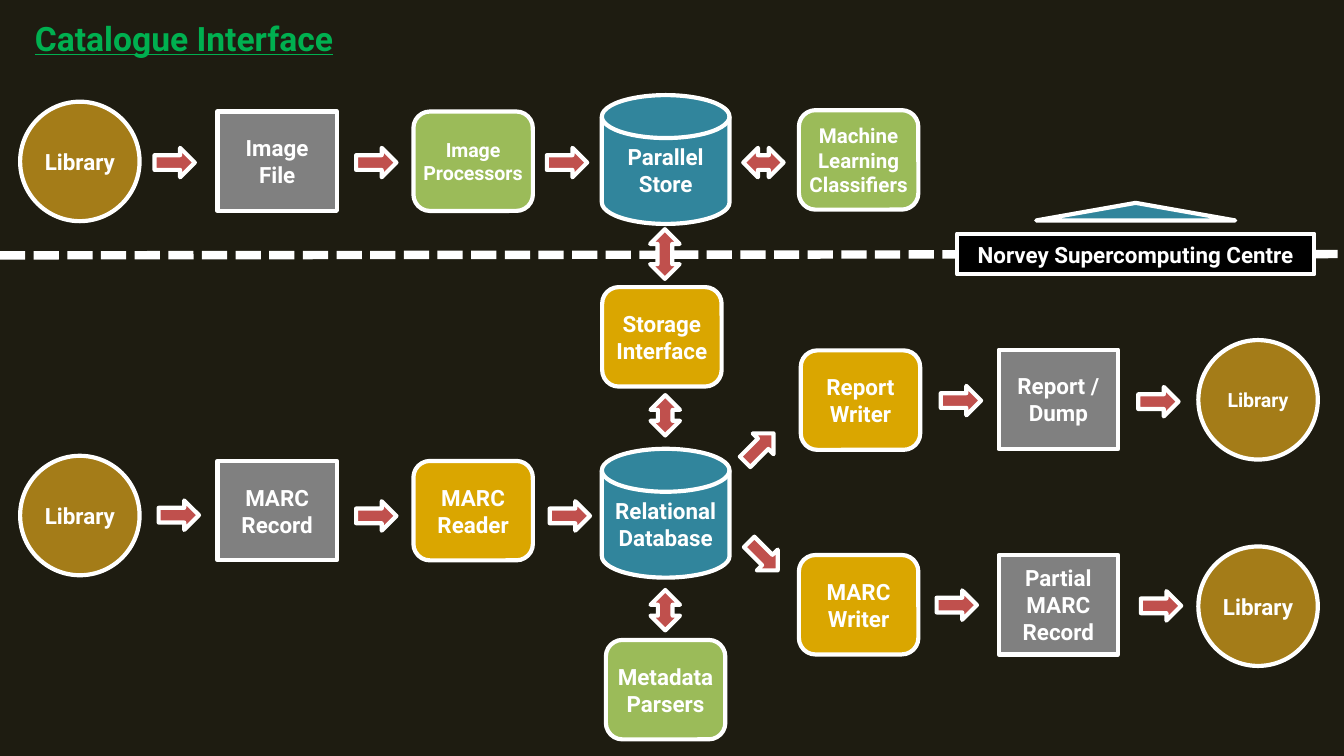
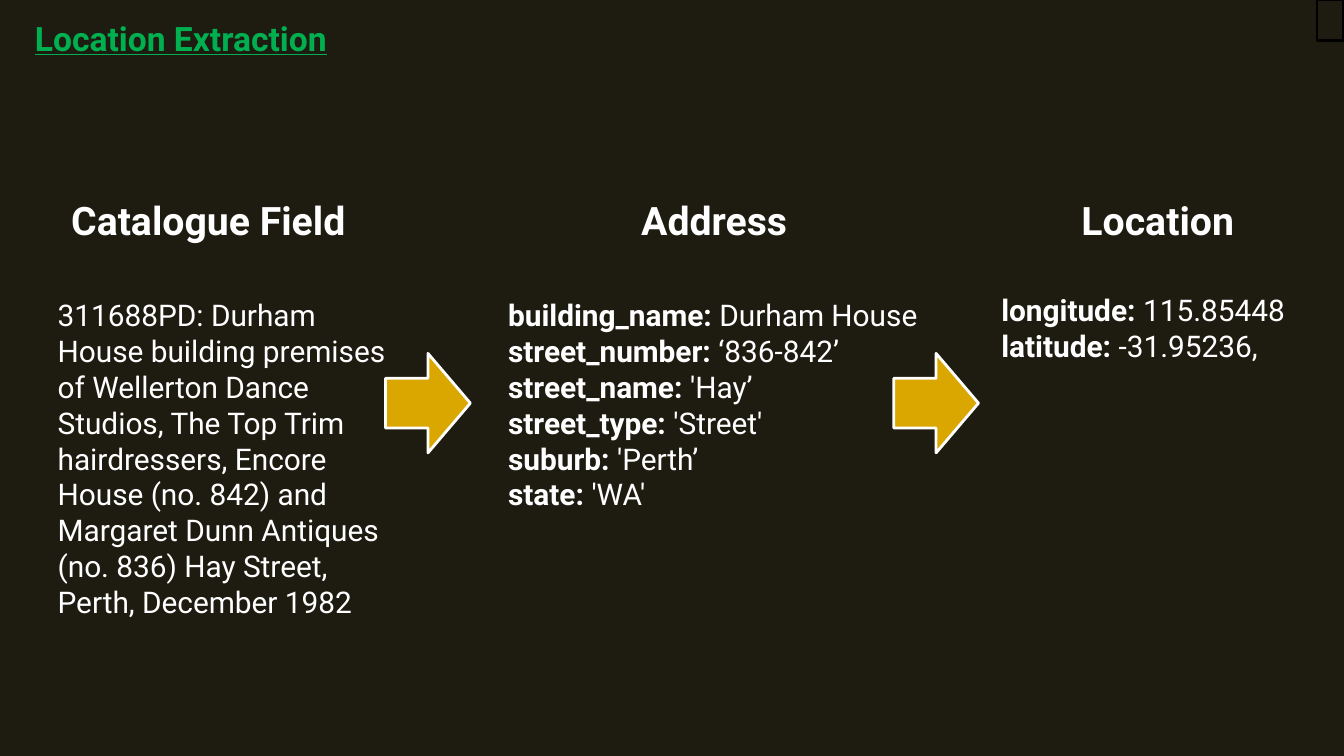
from copy import deepcopy

from lxml import etree
from pptx import Presentation
from pptx.dml.color import RGBColor
from pptx.enum import dml, shapes, text
from pptx.oxml import ns
from pptx.util import Pt

THEME = {
    "font": "Roboto",
    "background": "1E1C11",
    "title": "00B050",
    "light": "FFFFFF",
    "dark": "000000",
    "library": "A47C18",
    "file": "808080",
    "compute": "9BBB59",
    "service": "DAA600",
    "store": "31859C",
    "flow": "C0504D",
    "sizes": {"title": 18, "heading": 21, "body": 16, "node": 12, "small": 10.5},
}
SIZES = THEME["sizes"]
LEFT, CENTER = text.PP_ALIGN.LEFT, text.PP_ALIGN.CENTER
TOP, MIDDLE = text.MSO_ANCHOR.TOP, text.MSO_ANCHOR.MIDDLE
FORM = shapes.MSO_SHAPE


def write(frame, paragraphs, size, color="light", align=LEFT, anchor=TOP, side=7.2, underline=None):
    """Fill a frame; each paragraph is a list of (words, bold), and a newline is a line break."""
    layout = {"word_wrap": True, "auto_size": text.MSO_AUTO_SIZE.NONE, "vertical_anchor": anchor,
              "margin_left": Pt(side), "margin_right": Pt(side),
              "margin_top": Pt(3.6), "margin_bottom": Pt(3.6)}
    for key, value in layout.items():
        setattr(frame, key, value)
    for index, runs in enumerate(paragraphs):
        paragraph = frame.add_paragraph() if index else frame.paragraphs[0]
        paragraph.alignment = align
        paragraph.space_before = Pt(0)
        properties = paragraph._p.get_or_add_pPr()
        properties.set("marL", "0")
        properties.set("indent", "0")
        etree.SubElement(properties, ns.qn("a:buNone"))
        for words, bold in runs:
            for row, line in enumerate(words.split("\n")):
                if row:
                    paragraph.add_line_break()
                run = paragraph.add_run()
                run.text = line
                font = {"name": THEME["font"], "size": Pt(size), "bold": bold, "underline": underline}
                for key, value in font.items():
                    setattr(run.font, key, value)
                run.font.color.rgb = RGBColor.from_string(THEME[color])
        # Line breaks take the type size of the text around them
        for line_break in paragraph._p.findall(ns.qn("a:br")):
            line_break.insert(0, deepcopy(run._r.rPr))


def draw(slide, form, center, size, fill, line="light", weight=2.25, turn=0):
    (x, y), (width, height) = center, size
    figure = slide.shapes.add_shape(form, Pt(x - width / 2), Pt(y - height / 2), Pt(width), Pt(height))
    figure.shadow.inherit = False
    figure.rotation = turn
    if fill:
        figure.fill.solid()
        figure.fill.fore_color.rgb = RGBColor.from_string(THEME[fill])
    else:
        figure.fill.background()
    figure.line.color.rgb = RGBColor.from_string(THEME[line])
    figure.line.width = Pt(weight)
    return figure


deck = Presentation()
deck.slide_width, deck.slide_height = Pt(720), Pt(405)
backdrop = deck.slide_master.background.fill
backdrop.solid()
backdrop.fore_color.rgb = RGBColor.from_string(THEME["background"])

slides = []
for heading, layout_index in [("Catalogue Interface", 5), ("Location Extraction", 3)]:
    slide = deck.slides.add_slide(deck.slide_layouts[layout_index])
    title = slide.shapes.title
    title.left, title.top, title.width, title.height = Pt(11.5), Pt(5.8), Pt(184), Pt(29)
    write(title.text_frame, [[(heading, True)]], SIZES["title"], "title", underline=True)
    slides.append(slide)
interface, extraction = slides

# Catalogue Interface: the boundary of the computing centre
boundary = interface.shapes.add_connector(
    shapes.MSO_CONNECTOR.STRAIGHT, Pt(0), Pt(136.8), Pt(720), Pt(136.1))
boundary.line.color.rgb = RGBColor.from_string(THEME["light"])
boundary.line.width = Pt(4.5)
boundary.line.dash_style = dml.MSO_LINE.SQUARE_DOT
etree.SubElement(boundary._element.spPr, ns.qn("a:effectLst"))

# Catalogue Interface: nodes by kind, with label, centre and type size
KINDS = {
    "library": (FORM.OVAL, (64, 64)),
    "file": (FORM.RECTANGLE, (64, 53.3)),
    "compute": (FORM.ROUNDED_RECTANGLE, (64, 53.3)),
    "service": (FORM.ROUNDED_RECTANGLE, (64, 53.3)),
    "store": (FORM.FLOWCHART_MAGNETIC_DISK, (68.4, 69)),
}
NODE, SMALL = SIZES["node"], SIZES["small"]
NODES = [
    ("library", "Library", (42.8, 86.5), NODE),
    ("file", "Image\nFile", (148.5, 86.4), NODE),
    ("compute", "Image Processors", (253.5, 86.4), SMALL),
    ("store", "Parallel\nStore", (356.6, 85.5), NODE),
    ("compute", "Machine\nLearning\nClassifiers", (460, 85.7), 11),
    ("service", "Storage Interface", (354.6, 180.5), NODE),
    ("service", "Report\nWriter", (461, 214.4), NODE),
    ("file", "Report / Dump", (567, 214), NODE),
    ("library", "Library", (674, 214.2), SMALL),
    ("library", "Library", (42.8, 276.2), NODE),
    ("file", "MARC\nRecord", (148.5, 273.6), NODE),
    ("service", "MARC\nReader", (253.5, 273.6), NODE),
    ("store", "Relational\nDatabase", (356.6, 275), NODE),
    ("service", "MARC\nWriter", (460, 324), NODE),
    ("file", "Partial MARC\nRecord", (567, 324), NODE),
    ("library", "Library", (674, 324.8), NODE),
    ("compute", "Metadata\nParsers", (356.6, 369.5), NODE),
]
for kind, label, center, size in NODES:
    form, extent = KINDS[kind]
    node = draw(interface, form, center, extent, kind)
    write(node.text_frame, [[(label, True)]], size, align=CENTER, anchor=MIDDLE, side=0)

# Catalogue Interface: flows, as centre, length and turn
ONE_WAY = [(93.6, 87.1, 0), (201.6, 87.1, 0), (303.8, 87.1, 0),
           (95.8, 276, 0), (201.6, 276.4, 0), (305.3, 276.4, 0),
           (406.8, 239.8, 315), (514.8, 214.6, 0), (620.6, 215.2, 0),
           (409, 298, 45), (512.6, 324.2, 0), (622, 324.6, 0)]
for x, y, turn in ONE_WAY:
    draw(interface, FORM.RIGHT_ARROW, (x, y), (21.6, 15.8), "flow", turn=turn)
TWO_WAY = [(409, 87.1, 21.6, 0), (356.2, 136.1, 26.6, 270),
           (356.4, 222.5, 21.6, 270), (356.4, 326.9, 21.6, 270)]
for x, y, length, turn in TWO_WAY:
    draw(interface, FORM.LEFT_RIGHT_ARROW, (x, y), (length, 15.8), "flow", turn=turn)

draw(interface, FORM.FLOWCHART_EXTRACT, (608.4, 113.4), (106.6, 9.4), "store")
centre_sign = draw(interface, FORM.RECTANGLE, (608.4, 136.1), (191.5, 21.8), "dark")
write(centre_sign.text_frame, [[("Norvey Supercomputing Centre", True)]], NODE,
      align=CENTER, anchor=MIDDLE, side=2.2)

# Location Extraction: three columns joined by arrows
for x in (229.3, 501.5):
    draw(extraction, FORM.RIGHT_ARROW, (x, 216), (45.4, 53.3), "service", weight=1.5)

for heading, left, width in [("Catalogue Field", 21.6, 180), ("Address", 286.6, 192),
                             ("Location", 532, 176.4)]:
    column = extraction.shapes.add_textbox(Pt(left), Pt(101.5), Pt(width), Pt(32.4))
    write(column.text_frame, [[(heading, True)]], SIZES["heading"], align=CENTER)

record = extraction.shapes.add_textbox(Pt(23.8), Pt(155.5), Pt(190.8), Pt(181.4))
write(record.text_frame, [[(
    "311688PD: Durham House building premises of Wellerton Dance Studios, The Top Trim "
    "hairdressers, Encore House (no. 842) and Margaret Dunn Antiques (no. 836) Hay Street, "
    "Perth, December 1982", False)]], SIZES["body"])

ADDRESS = [("building_name:", "Durham House"), ("street_number:", "‘836-842’"),
           ("street_name:", "'Hay’"), ("street_type:", "'Street'"),
           ("suburb:", "'Perth’"), ("state:", "'WA'")]
LOCATION = [("longitude:", "115.85448"), ("latitude:", "-31.95236,")]
for slot, fields, left, top, width, height in [(1, ADDRESS, 265, 155.5, 251.3, 123.8),
                                               (2, LOCATION, 529.2, 152.6, 176.4, 46)]:
    listing = extraction.placeholders[slot]
    listing.left, listing.top, listing.width, listing.height = Pt(left), Pt(top), Pt(width), Pt(height)
    write(listing.text_frame, [[(key + " ", True), (value, False)] for key, value in fields],
          SIZES["body"])

draw(extraction, FORM.RECTANGLE, (712.8, 10.8), (14.4, 21.6), None, "dark", 1.5)

deck.save("out.pptx")
